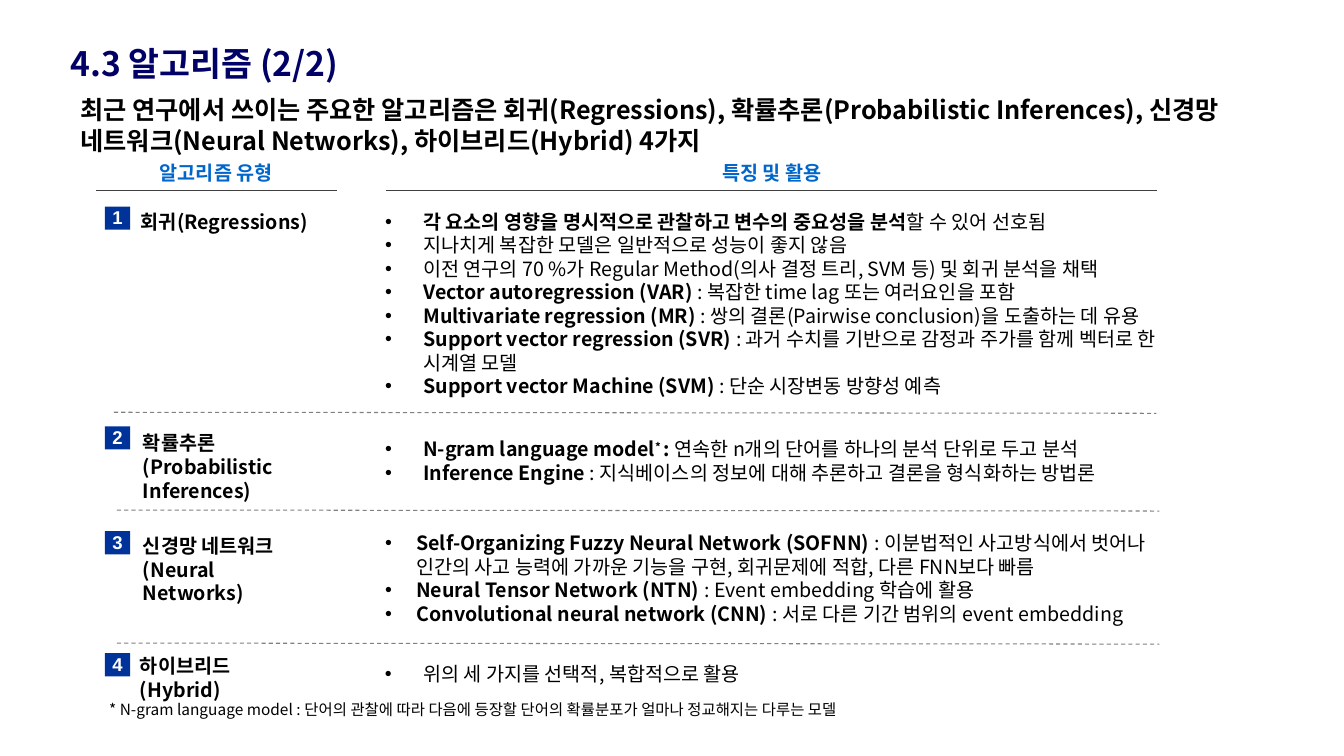
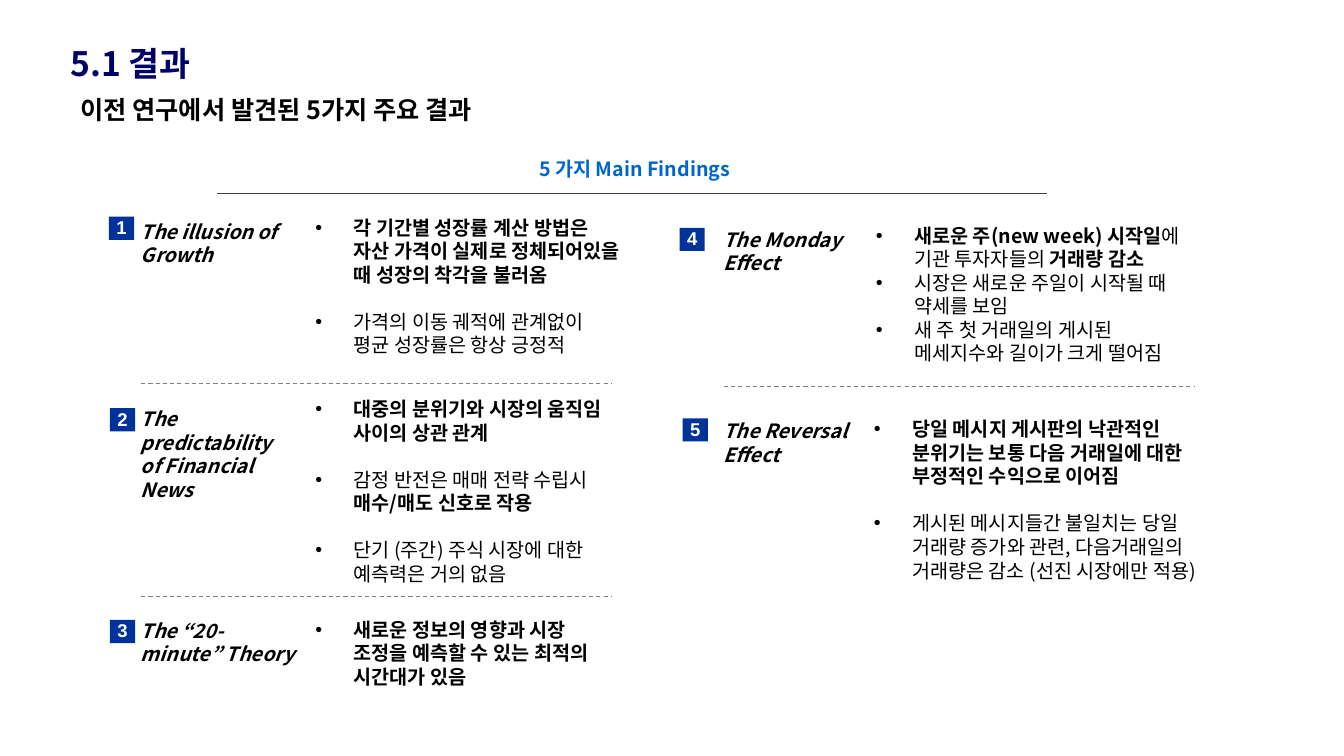
from dataclasses import dataclass

from lxml.etree import SubElement
from pptx import Presentation
from pptx.dml.color import RGBColor
from pptx.enum.dml import MSO_LINE
from pptx.enum.shapes import MSO_CONNECTOR, MSO_SHAPE
from pptx.enum.text import MSO_ANCHOR, PP_ALIGN
from pptx.oxml.ns import qn
from pptx.util import Pt

EMU_PER_PX = 9144


def px(length):
    return length * EMU_PER_PX


@dataclass(frozen=True)
class Theme:
    font: str = "Noto Sans CJK KR"
    badge_font: str = "Arial"
    title_color: str = "000066"
    text_color: str = "000000"
    heading_color: str = "0066CC"
    badge_color: str = "003399"
    badge_text_color: str = "FFFFFF"
    rule_color: str = "404040"
    divider_color: str = "808080"
    title_size: float = 24
    subtitle_size: float = 18
    body_size: float = 14
    note_size: float = 11
    badge_size: float = 13.2
    rule_width: float = 0.5
    divider_width: float = 0.75
    line_factor: float = 1.2


def apply_format(target, values):
    for name, value in values.items():
        setattr(target, name, value)


class Deck:
    def __init__(self, theme):
        self.theme = theme
        self.presentation = Presentation()
        apply_format(self.presentation, {"slide_width": px(1333), "slide_height": px(750)})
        self.slide = None

    def start_slide(self, title, subtitle):
        theme = self.theme
        layout = self.presentation.slide_layouts[6]
        self.slide = self.presentation.slides.add_slide(layout)
        self.text((70, 43, 1016, 31), [title], theme.title_size, theme.title_color,
                  bold=True, inset=False)
        self.text((70, 89, 1187, 71), [subtitle], theme.subtitle_size, bold=True)

    def run(self, paragraph, text, size, color, font, bold, italic=False):
        run = paragraph.add_run()
        run.text = text
        apply_format(run.font, {"size": Pt(size), "name": font, "bold": bold, "italic": italic})
        run.font.color.rgb = RGBColor.from_string(color)
        properties = run._r.get_or_add_rPr()
        SubElement(properties, qn("a:ea"), typeface=font)
        return properties

    def text(self, box, lines, size=None, color=None, bold=False, italic=False,
             align=PP_ALIGN.LEFT, inset=True, hang=0, gap=False):
        theme = self.theme
        size = size or theme.body_size
        pitch = Pt(round(size * theme.line_factor, 1))
        frame = self.slide.shapes.add_textbox(*map(px, box)).text_frame
        frame.word_wrap = True
        if not inset:
            sides = ("margin_left", "margin_top", "margin_right", "margin_bottom")
            apply_format(frame, dict.fromkeys(sides, 0))
        for index, line in enumerate(lines):
            paragraph = frame.paragraphs[0] if index == 0 else frame.add_paragraph()
            spaced = gap and index < len(lines) - 1
            apply_format(paragraph, {"alignment": align, "line_spacing": pitch,
                                     "space_after": pitch if spaced else 0})
            if hang:
                self.bullet(paragraph, hang)
            for part, segment in enumerate(line.split("**")):
                for level, piece in enumerate(segment.split("^")):
                    if piece:
                        properties = self.run(paragraph, piece, size, color or theme.text_color,
                                              theme.font, bold or part % 2 == 1, italic)
                        if level % 2:
                            properties.set("baseline", "30000")

    def bullet(self, paragraph, hang):
        properties = paragraph._p.get_or_add_pPr()
        properties.set("marL", str(px(hang)))
        properties.set("indent", str(-px(hang)))
        SubElement(properties, qn("a:buFont"), typeface="Arial")
        SubElement(properties, qn("a:buChar"), char="•")

    def bullets(self, box, items, hang=38, gap=False):
        self.text(box, items, hang=hang, gap=gap)

    def badge(self, left, top, number):
        theme = self.theme
        shape = self.slide.shapes.add_shape(MSO_SHAPE.RECTANGLE, px(left), px(top), px(25), px(23))
        shape.shadow.inherit = False
        shape.fill.solid()
        shape.fill.fore_color.rgb = RGBColor.from_string(theme.badge_color)
        shape.line.fill.background()
        apply_format(shape.text_frame, {"word_wrap": False, "vertical_anchor": MSO_ANCHOR.MIDDLE})
        paragraph = shape.text_frame.paragraphs[0]
        apply_format(paragraph, {"alignment": PP_ALIGN.CENTER, "line_spacing": 0.95})
        self.run(paragraph, str(number), theme.badge_size, theme.badge_text_color,
                 theme.badge_font, True)

    def line(self, start, end, color, width, dash=None):
        connector = self.slide.shapes.add_connector(
            MSO_CONNECTOR.STRAIGHT, *map(px, start + end))
        connector.line.color.rgb = RGBColor.from_string(color)
        apply_format(connector.line, {"width": Pt(width), "dash_style": dash})
        SubElement(connector._element.spPr, qn("a:effectLst"))

    def divider(self, left, top, right, bottom):
        self.line((left, top), (right, bottom), self.theme.divider_color,
                  self.theme.divider_width, MSO_LINE.DASH)

    def heading(self, box, text):
        self.text(box, [text], color=self.theme.heading_color, bold=True, align=PP_ALIGN.CENTER)

    def rule(self, left, right, top):
        self.line((left, top), (right, top), self.theme.rule_color, self.theme.rule_width)


ALGORITHMS = [
    (205, (130, 203, 203, 34), "회귀(Regressions)", (372, 203, 801, 199), 38, [
        "**각 요소의 영향을 명시적으로 관찰하고 변수의 중요성을 분석**할 수 있어 선호됨",
        "지나치게 복잡한 모델은 일반적으로 성능이 좋지 않음",
        "이전 연구의 70 %가 Regular Method(의사 결정 트리, SVM 등) 및 회귀 분석을 채택",
        "**Vector autoregression (VAR) **: 복잡한 time lag 또는 여러요인을 포함",
        "**Multivariate regression (MR) **: 쌍의 결론(Pairwise conclusion)을 도출하는 데 유용",
        "**Support vector regression (SVR) **: 과거 수치를 기반으로 감정과 주가를 함께 벡터로 한 시계열 모델",
        "**Support vector Machine (SVM) **: 단순 시장변동 방향성 예측",
    ]),
    (423, (132, 423, 187, 81), "확률추론(Probabilistic Inferences)", (372, 429, 781, 57), 38, [
        "**N-gram language model^* ^: **연속한 n개의 단어를 하나의 분석 단위로 두고 분석",
        "**Inference Engine **: 지식베이스의 정보에 대해 추론하고 결론을 형식화하는 방법론",
    ]),
    (527, (132, 525, 186, 57), "신경망 네트워크(Neural Networks)", (372, 522, 801, 104), 31, [
        "**Self-Organizing Fuzzy Neural Network (SOFNN)** : 이분법적인 사고방식에서 벗어나 "
        "인간의 사고 능력에 가까운 기능을 구현, 회귀문제에 적합, 다른 FNN보다 빠름",
        "**Neural Tensor Network (NTN) **: Event embedding 학습에 활용",
        "**Convolutional neural network (CNN) **: 서로 다른 기간 범위의 event embedding",
    ]),
    (648, (129, 644, 186, 57), "하이브리드 (Hybrid)", (372, 652, 730, 34), 38, [
        "위의 세 가지를 선택적, 복합적으로 활용",
    ]),
]

FINDINGS = [
    ((108, 215), (130, 213, 173, 57), "The illusion of Growth", (303, 209, 326, 151), True, [
        "**각 기간별 성장률 계산 방법은 자산 가격이 실제로 정체되어있을 때 성장의 착각을 불러옴**",
        "가격의 이동 궤적에 관계없이 평균 성장률은 항상 긍정적",
    ]),
    ((109, 405), (130, 399, 173, 81), "The predictability of Financial News",
     (303, 389, 326, 199), True, [
        "**대중의 분위기와 시장의 움직임 사이의 상관 관계**",
        "감정 반전은 매매 전략 수립시 **매수/매도 신호로 작용**",
        "단기 (주간) 주식 시장에 대한 예측력은 거의 없음",
    ]),
    ((109, 615), (130, 609, 173, 57), "The “20-minute” Theory", (303, 608, 326, 81), False, [
        "**새로운 정보의 영향과 시장 조정을 예측할 수 있는 최적의 시간대가 있음**",
    ]),
    ((674, 226), (708, 221, 150, 57), "The Monday Effect", (859, 217, 343, 151), False, [
        "**새로운 주(new week) 시작일**에 기관 투자자들의 **거래량 감소**",
        "시장은 새로운 주일이 시작될 때 약세를 보임",
        "새 주 첫 거래일의 게시된 메세지수와 길이가 크게 떨어짐",
    ]),
    ((677, 415), (708, 411, 173, 57), "The Reversal Effect", (857, 409, 344, 199), True, [
        "**당일 메시지 게시판의 낙관적인 분위기는 보통 다음 거래일에 대한 부정적인 수익으로 이어짐**",
        "게시된 메시지들간 불일치는 당일 거래량 증가와 관련, 다음거래일의 거래량은 감소 (선진 시장에만 적용)",
    ]),
]


def build_algorithms(deck):
    deck.start_slide(
        "4.3 알고리즘 (2/2)",
        "최근 연구에서 쓰이는 주요한 알고리즘은 회귀(Regressions), "
        "확률추론(Probabilistic Inferences), 신경망 네트워크(Neural Networks), "
        "하이브리드(Hybrid) 4가지")
    for left, width, text in ((95, 239, "알고리즘 유형"), (383, 765, "특징 및 활용")):
        deck.heading((left, 155, width, 34), text)
        deck.rule(left, left + width, 189)
    for number, (top, label_box, label, body_box, hang, items) in enumerate(ALGORITHMS, 1):
        deck.badge(104, top, number)
        deck.text(label_box, [label], bold=True)
        deck.bullets(body_box, items, hang=hang)
    for left, top in ((113, 409), (116, 506), (116, 638)):
        deck.divider(left, top, left + 1034, top + 1)
    deck.text((95, 690, 938, 29),
              [" * N-gram language model : 단어의 관찰에 따라 다음에 등장할 단어의 "
               "확률분포가 얼마나 정교해지는 다루는 모델"], deck.theme.note_size)


def build_findings(deck):
    deck.start_slide("5.1 결과", "이전 연구에서 발견된 5가지 주요 결과")
    deck.heading((334, 151, 591, 34), "5 가지 Main Findings")
    deck.rule(215, 1038, 192)
    for number, (corner, label_box, label, body_box, gap, items) in enumerate(FINDINGS, 1):
        deck.badge(*corner, number)
        deck.text(label_box, [label], bold=True, italic=True)
        deck.bullets(body_box, items, gap=gap)
    for left, top in ((140, 380), (140, 592), (718, 383)):
        deck.divider(left, top, left + 466, top)


def main():
    deck = Deck(Theme())
    build_algorithms(deck)
    build_findings(deck)
    deck.presentation.save("out.pptx")


if __name__ == "__main__":
    main()
